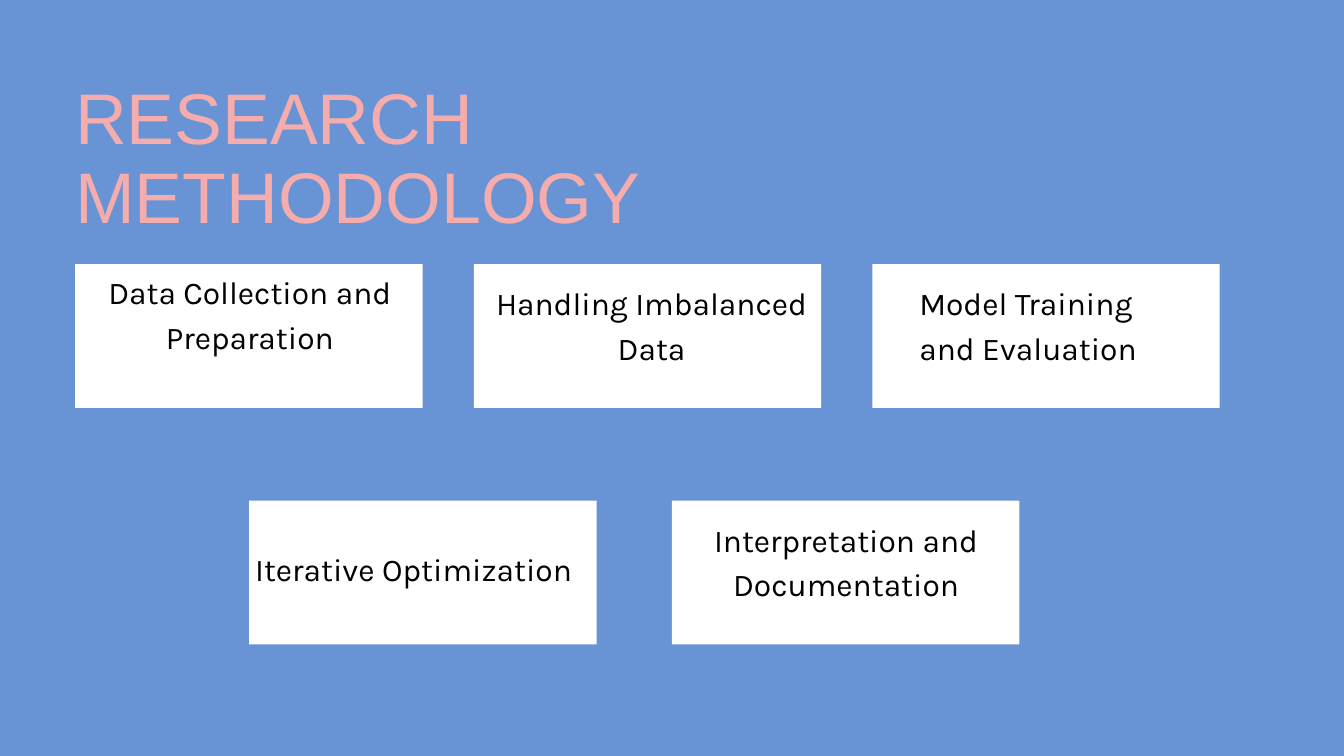
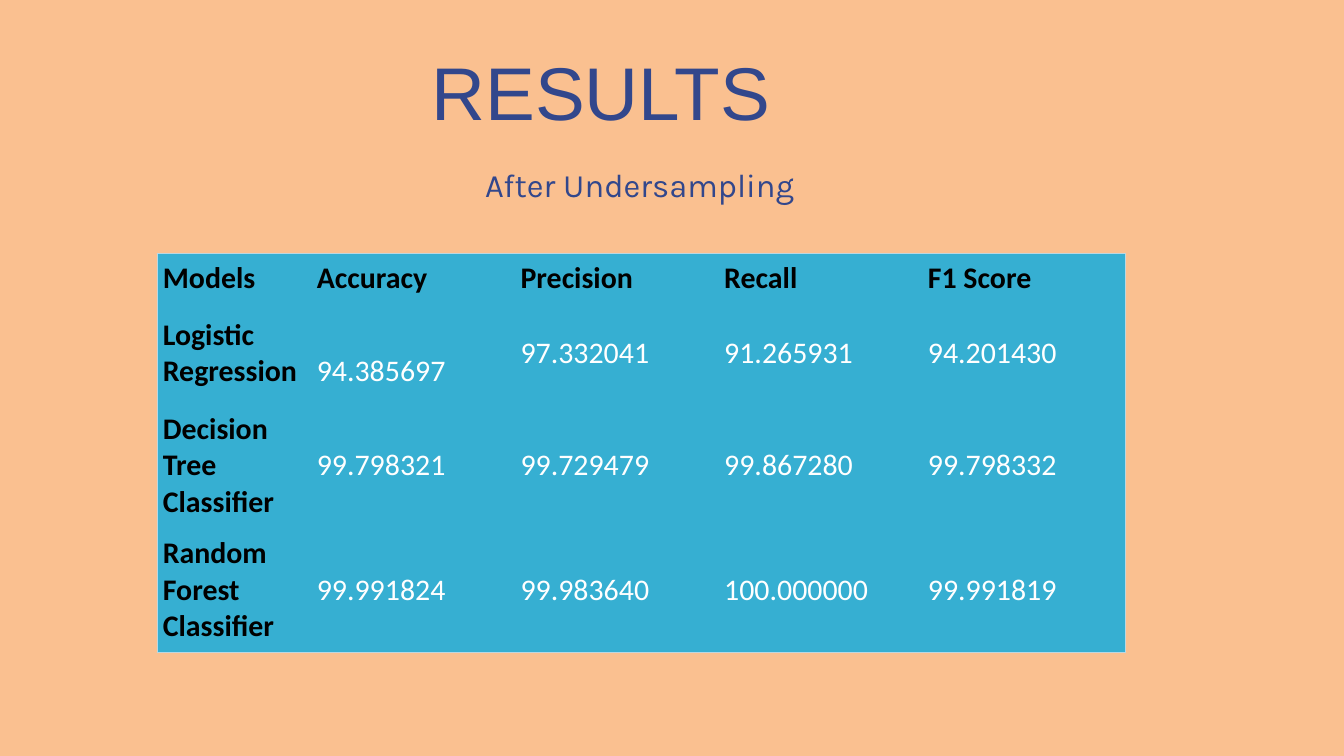
from dataclasses import dataclass

from lxml import etree
from pptx import Presentation
from pptx.dml.color import RGBColor
from pptx.enum import shapes, text
from pptx.oxml import ns
from pptx.util import Pt


@dataclass(frozen=True)
class Theme:
    blue: str = "6893D4"
    peach: str = "FAC090"
    pink: str = "F5ACAC"
    navy: str = "32478C"
    teal: str = "36AFD2"
    border: str = "BCD7E1"
    white: str = "FFFFFF"
    black: str = "000000"
    title_font: str = "Arial"
    body_font: str = "Karla"
    table_font: str = "Calibri"
    card_size: float = 34
    subtitle_size: float = 35
    table_size: float = 32
    border_width: float = 0.75


THEME = Theme()
CENTER, JUSTIFY, LEFT = text.PP_ALIGN.CENTER, text.PP_ALIGN.JUSTIFY, text.PP_ALIGN.LEFT
CARD_WIDTH, CARD_HEIGHT = 372.24, 154

# Lines, alignment, and text box (left, top, width, height) inside the card
TOP_CARDS = [
    (["Data Collection and", "Preparation"], CENTER, (24.5, 3, 325, 93)),
    (["Handling Imbalanced", "Data"], CENTER, (8.6, 14.4, 363.6, 140)),
    (["Model Training", "and Evaluation"], JUSTIFY, (50.4, 14.4, 322, 140)),
]
BOTTOM_CARDS = [
    (["Iterative Optimization"], JUSTIFY, (6.5, 46, 366, 93)),
    (["Interpretation and", "Documentation"], CENTER, (31, 14.4, 311, 140)),
]
SCORES = [
    ["Models", "Accuracy", "Precision", "Recall", "F1 Score"],
    ["Logistic Regression", "94.385697", "97.332041", "91.265931", "94.201430"],
    ["Decision Tree Classifier", "99.798321", "99.729479", "99.867280", "99.798332"],
    ["Random Forest Classifier", "99.991824", "99.983640", "100.000000", "99.991819"],
]
COLUMN_WIDTHS = [165] + [218.25] * 4
ROW_HEIGHTS = [54, 106.6, 133.4, 133.4]


def set_font(paragraph, name, size, color, bold=False):
    font = paragraph.font
    font.name, font.size, font.bold = name, Pt(size), bold
    font.color.rgb = RGBColor.from_string(color)


def add_slide(presentation, background):
    slide = presentation.slides.add_slide(presentation.slide_layouts[6])
    slide.background.fill.solid()
    slide.background.fill.fore_color.rgb = RGBColor.from_string(background)
    return slide


def add_text(slide, box, lines, font, size, color, spacing, align=LEFT):
    """Add a text box without insets, one paragraph a line, with exact spacing."""
    frame = slide.shapes.add_textbox(*map(Pt, box)).text_frame
    frame.word_wrap = True
    frame.auto_size = text.MSO_AUTO_SIZE.SHAPE_TO_FIT_TEXT
    frame.margin_left = frame.margin_top = frame.margin_right = frame.margin_bottom = 0
    frame.text = "\n".join(lines)
    for paragraph in frame.paragraphs:
        paragraph.alignment = align
        paragraph.line_spacing = Pt(spacing)
        set_font(paragraph, font, size, color)


def add_title(slide, box, title, size, color):
    add_text(slide, box, [title], THEME.title_font, size, color, 1.1 * size)


def add_card(slide, left, top, lines, align, text_box):
    card = slide.shapes.add_shape(shapes.MSO_SHAPE.RECTANGLE, Pt(left), Pt(top),
                                  Pt(CARD_WIDTH), Pt(CARD_HEIGHT))
    card.shadow.inherit = False
    card.fill.solid()
    card.fill.fore_color.rgb = RGBColor.from_string(THEME.white)
    card.line.fill.background()
    x, y, width, height = text_box
    add_text(slide, (left + x, top + y, width, height), lines, THEME.body_font,
             THEME.card_size, THEME.black, 1.4 * THEME.card_size, align)


def add_card_row(slide, left, top, pitch, cards):
    for index, card in enumerate(cards):
        add_card(slide, left + index * pitch, top, *card)


def set_borders(cell, outer_sides):
    """Draw the given sides (L, R, T, B) of a cell and hide the others."""
    properties = cell._tc.get_or_add_tcPr()
    for side in "LRTB":
        line = etree.SubElement(properties, ns.qn(f"a:ln{side}"))
        if side in outer_sides:
            line.set("w", str(Pt(THEME.border_width)))
            fill = etree.SubElement(line, ns.qn("a:solidFill"))
            etree.SubElement(fill, ns.qn("a:srgbClr")).set("val", THEME.border)
        else:
            etree.SubElement(line, ns.qn("a:noFill"))


def style_cell(cell, row, column):
    is_header = row == 0
    is_label = is_header or column == 0
    edges = {"L": column == 0, "R": column == len(COLUMN_WIDTHS) - 1,
             "T": is_header, "B": row == len(ROW_HEIGHTS) - 1}
    set_borders(cell, [side for side, is_outer in edges.items() if is_outer])
    cell.fill.solid()
    cell.fill.fore_color.rgb = RGBColor.from_string(THEME.teal)
    cell.vertical_anchor = text.MSO_ANCHOR.MIDDLE
    cell.margin_left, cell.margin_right = Pt(6.5), Pt(0.7)
    cell.margin_top = cell.margin_bottom = Pt(0.5 if is_header else 7.2)
    set_font(cell.text_frame.paragraphs[0], THEME.table_font, THEME.table_size,
             THEME.black if is_label else THEME.white, is_label)


def add_score_table(slide, left, top):
    table = slide.shapes.add_table(len(ROW_HEIGHTS), len(COLUMN_WIDTHS), Pt(left), Pt(top),
                                   Pt(sum(COLUMN_WIDTHS)), Pt(sum(ROW_HEIGHTS))).table
    for column, width in zip(table.columns, COLUMN_WIDTHS):
        column.width = Pt(width)
    for row, height in zip(table.rows, ROW_HEIGHTS):
        row.height = Pt(height)
    for row, values in enumerate(SCORES):
        for column, value in enumerate(values):
            cell = table.cell(row, column)
            cell.text = value
            style_cell(cell, row, column)
    # The first accuracy sits level with the second line of its row label
    table.cell(1, 1).margin_top = Pt(46)


def build_methodology(presentation):
    slide = add_slide(presentation, THEME.blue)
    add_title(slide, (80.64, 85.7, 853, 255.6), "RESEARCH METHODOLOGY", 76.8, THEME.pink)
    add_card_row(slide, 80.64, 283, 427, TOP_CARDS)
    add_card_row(slide, 267, 536.4, 453, BOTTOM_CARDS)


def build_results(presentation):
    slide = add_slide(presentation, THEME.peach)
    add_title(slide, (462.24, 57, 639.4, 91.4), "RESULTS", 80, THEME.navy)
    add_text(slide, (365.76, 177, 639.4, 42.5), ["After Undersampling"], THEME.body_font,
             THEME.subtitle_size, THEME.navy, 1.2 * THEME.subtitle_size, CENTER)
    add_score_table(slide, 168, 271.5)


def main():
    presentation = Presentation()
    presentation.slide_width, presentation.slide_height = Pt(1440), Pt(810)
    build_methodology(presentation)
    build_results(presentation)
    presentation.save("out.pptx")


if __name__ == "__main__":
    main()
